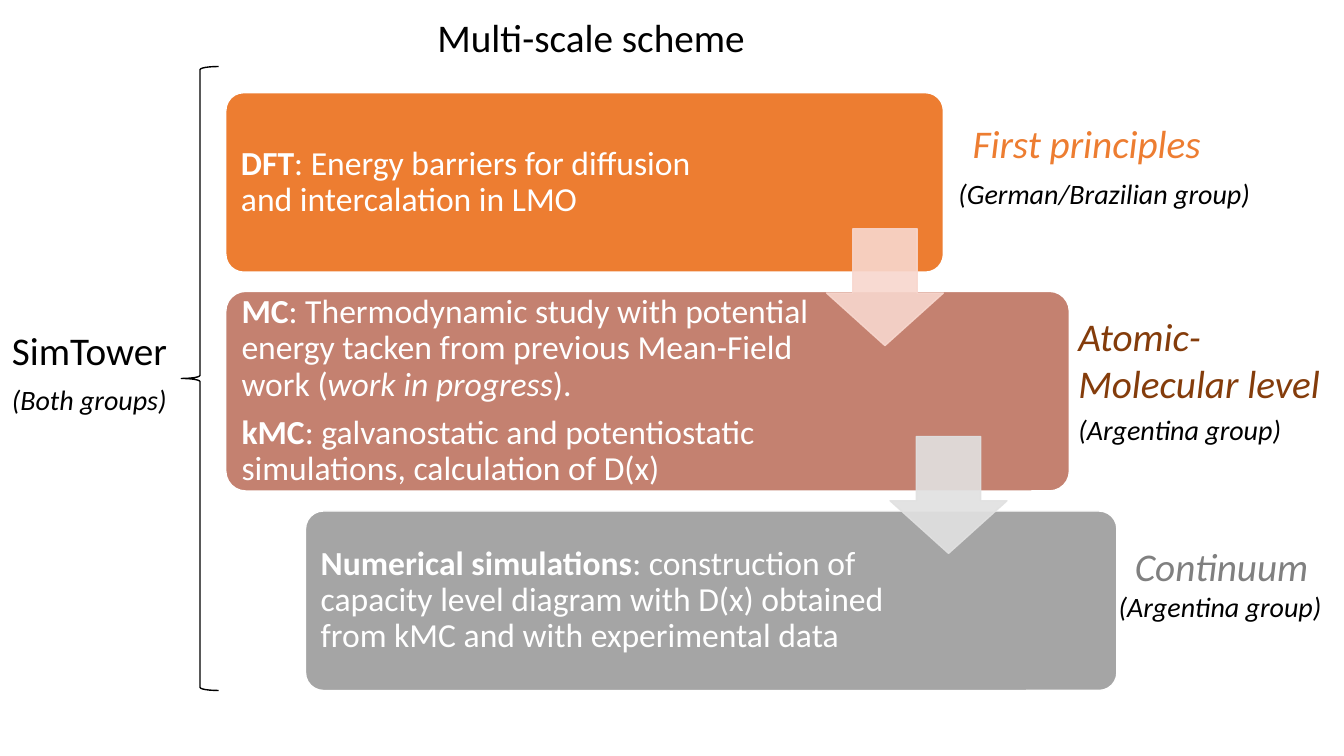
from lxml.etree import SubElement
from pptx import Presentation
from pptx.dml.color import RGBColor
from pptx.enum.shapes import MSO_SHAPE
from pptx.enum.text import MSO_ANCHOR, MSO_AUTO_SIZE, PP_ALIGN
from pptx.oxml.ns import qn
from pptx.util import Pt

COLORS = {
    "black": "000000",
    "white": "FFFFFF",
    "first_principles": "ED7D31",
    "atomic": "C48170",
    "atomic_label": "843C0B",
    "continuum": "A5A5A5",
    "continuum_label": "808080",
    "first_arrow": "F8D7CE",
    "second_arrow": "E1E1E1",
}
FONT = "Calibri"
LEVEL_SIZE, GROUP_SIZE, STAGE_SIZE = 28, 20, 24
ARROW_SIDE = 83.5


def rgb(name):
    return RGBColor.from_string(COLORS[name])


def add_run(paragraph, text, size, color, bold=False, italic=False):
    run = paragraph.add_run()
    run.text = text
    font = run.font
    font.name, font.size = FONT, Pt(size)
    font.bold, font.italic = bold, italic
    font.color.rgb = rgb(color)


def place(shape, left, top, width, height):
    shape.left, shape.top = Pt(left), Pt(top)
    shape.width, shape.height = Pt(width), Pt(height)


def add_outline(slide, kind, box, line_color):
    shape = slide.shapes.add_shape(kind, *(Pt(length) for length in box))
    shape.shadow.inherit = False
    shape.line.color.rgb = rgb(line_color)
    shape.line.width = Pt(1)
    return shape


def add_stage(slide, box, color, right_inset, paragraphs):
    """Add a rounded box; each paragraph is a list of (text, style) runs."""
    stage = add_outline(slide, MSO_SHAPE.ROUNDED_RECTANGLE, box, "white")
    stage.adjustments[0] = 0.1
    stage.fill.solid()
    stage.fill.fore_color.rgb = rgb(color)
    frame = stage.text_frame
    frame.word_wrap = True
    frame.vertical_anchor = MSO_ANCHOR.MIDDLE
    frame.margin_left = frame.margin_top = frame.margin_bottom = Pt(7.2)
    frame.margin_right = Pt(right_inset)
    for index, runs in enumerate(paragraphs):
        paragraph = frame.add_paragraph() if index else frame.paragraphs[0]
        paragraph.alignment = PP_ALIGN.LEFT
        paragraph.line_spacing = 0.9
        paragraph.space_after = Pt(8.4)
        for text, style in runs:
            add_run(paragraph, text, STAGE_SIZE, "white",
                    bold=style == "bold", italic=style == "italic")


def add_flow_arrow(slide, left, top, color):
    arrow = add_outline(slide, MSO_SHAPE.DOWN_ARROW,
                        (left, top, ARROW_SIDE, ARROW_SIDE), color)
    arrow.adjustments[0], arrow.adjustments[1] = 0.55, 0.45
    arrow.fill.solid()
    arrow.fill.fore_color.rgb = rgb(color)
    for tint in arrow.element.spPr.iter(qn("a:srgbClr")):
        SubElement(tint, qn("a:alpha"), val="90000")


def add_label(slide, box, text, size, color="black", italic=True, wrap=False):
    label = slide.shapes.add_textbox(*(Pt(length) for length in box))
    frame = label.text_frame
    frame.word_wrap = wrap
    frame.auto_size = MSO_AUTO_SIZE.SHAPE_TO_FIT_TEXT
    add_run(frame.paragraphs[0], text, size, color, italic=italic)


def add_title(slide, box, text):
    title = slide.shapes.title
    place(title, *box)
    frame = title.text_frame
    frame.word_wrap = False
    frame.auto_size = MSO_AUTO_SIZE.NONE
    frame.vertical_anchor = MSO_ANCHOR.TOP
    frame.paragraphs[0].alignment = PP_ALIGN.LEFT
    add_run(frame.paragraphs[0], text, LEVEL_SIZE, "black")


def main():
    deck = Presentation()
    deck.slide_width, deck.slide_height = Pt(960), Pt(540)
    slide = deck.slides.add_slide(deck.slide_layouts[5])
    add_title(slide, (305.3, 5.8, 236.9, 41), "Multi-scale scheme")

    add_stage(slide, (161.3, 66.2, 512.6, 128.2), "first_principles", 138, [
        [("DFT", "bold"),
         (": Energy barriers for diffusion and intercalation in LMO", "")],
    ])
    add_stage(slide, (161.3, 208.1, 602.6, 142.6), "atomic", 158, [
        [("MC", "bold"),
         (": Thermodynamic study with potential energy tacken from "
          "previous Mean-Field work (", ""),
         ("work in progress", "italic"), (").", "")],
        [("kMC", "bold"),
         (": galvanostatic and potentiostatic simulations, "
          "calculation of D(x)", "")],
    ])
    add_stage(slide, (218.2, 365, 579.6, 128.2), "continuum", 153, [
        [("Numerical simulations", "bold"),
         (": construction of capacity level diagram with D(x) obtained "
          "from kMC and with experimental data", "")],
    ])
    add_flow_arrow(slide, 590.4, 163.4, "first_arrow")
    add_flow_arrow(slide, 635.8, 311.8, "second_arrow")

    add_label(slide, (687.6, 81.4, 180.7, 41), "First principles",
              LEVEL_SIZE, "first_principles")
    add_label(slide, (763.2, 219.6, 195.1, 74.9), "Atomic-Molecular level",
              LEVEL_SIZE, "atomic_label", wrap=True)
    add_label(slide, (803.5, 383.8, 156.2, 41), "Continuum",
              LEVEL_SIZE, "continuum_label", wrap=True)
    add_label(slide, (1.4, 229.7, 128, 41), "SimTower",
              LEVEL_SIZE, italic=False)

    for left, top, width, group in (
        (677.5, 122.4, 224.6, "(German/Brazilian group)"),
        (763.2, 290.9, 160.6, "(Argentina group)"),
        (792, 417.6, 160.6, "(Argentina group)"),
        (1.4, 270, 126, "(Both groups)"),
    ):
        add_label(slide, (left, top, width, 31.7), group, GROUP_SIZE)

    brace = add_outline(slide, MSO_SHAPE.LEFT_BRACE,
                        (129.6, 47.5, 26.6, 445.7), "black")
    brace.fill.background()
    deck.save("out.pptx")


if __name__ == "__main__":
    main()
